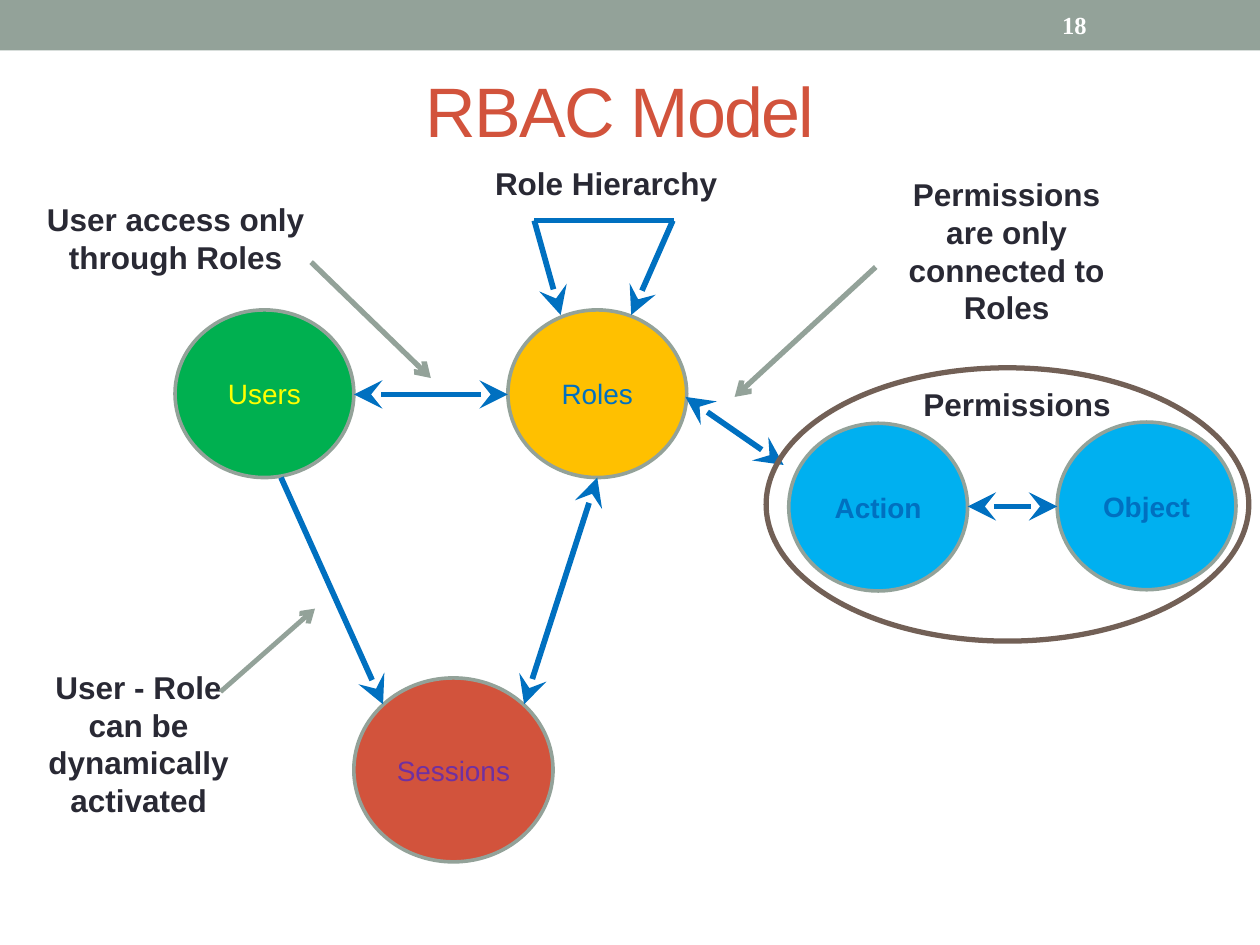
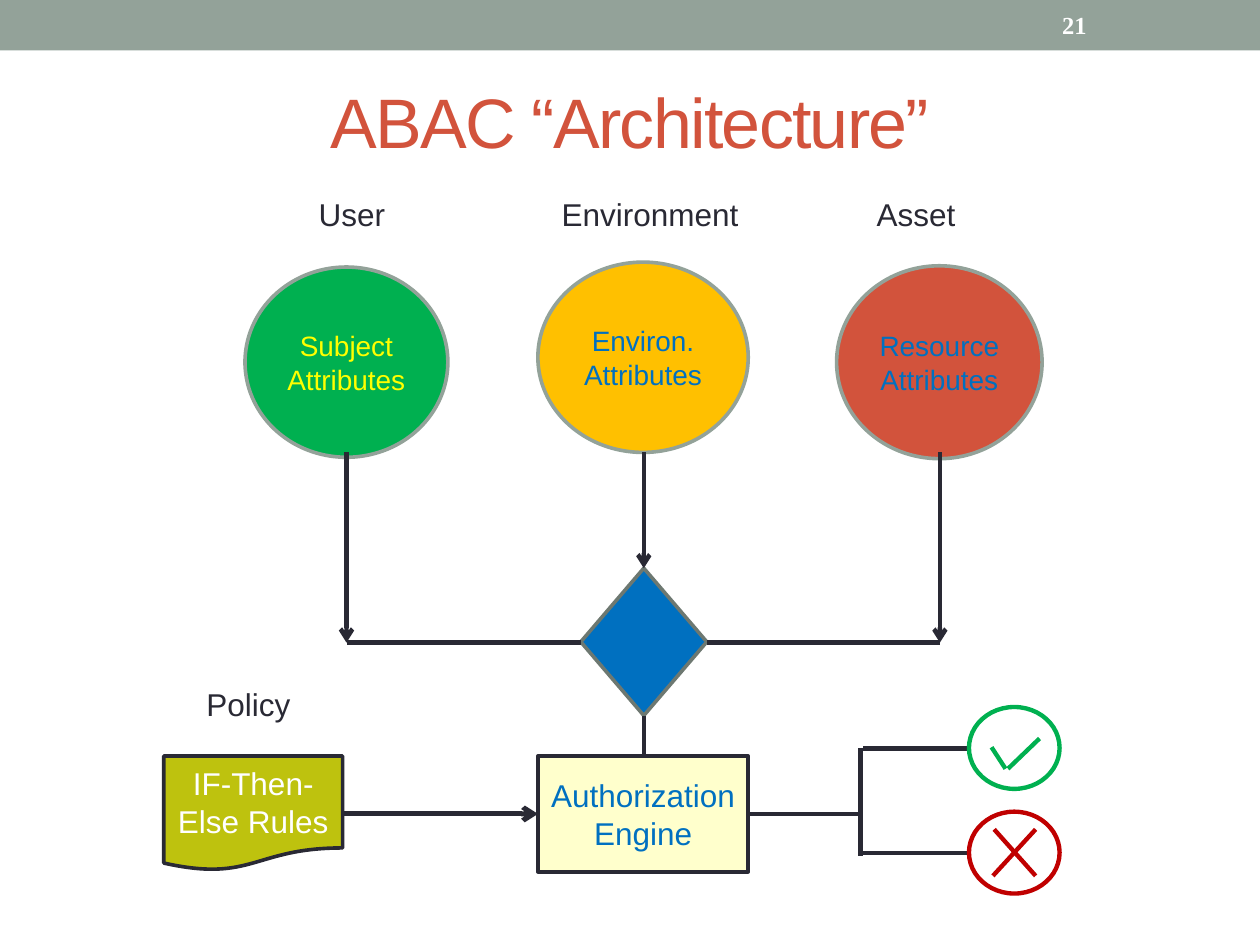
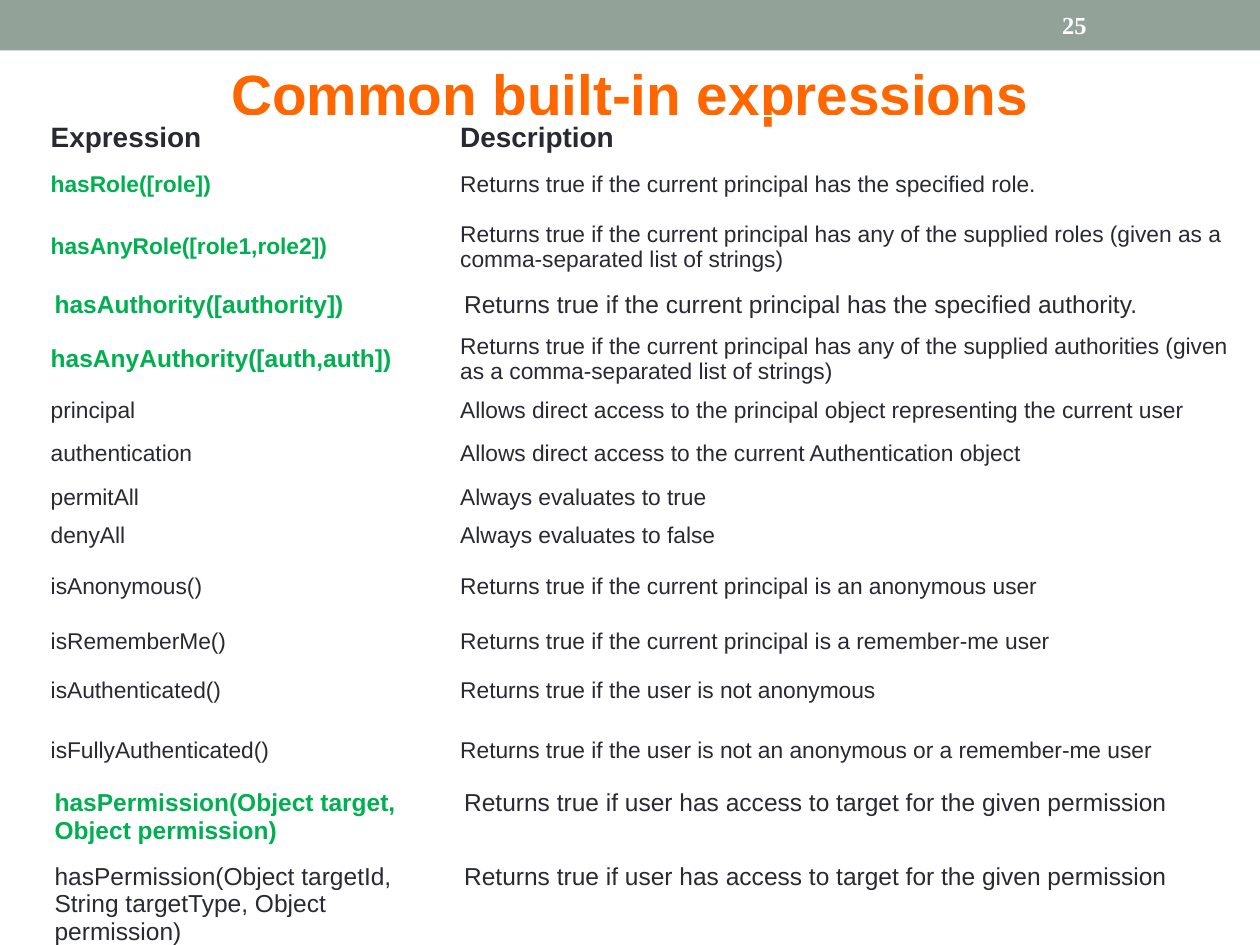
from dataclasses import dataclass

from lxml.etree import SubElement
from pptx import Presentation
from pptx.dml.color import RGBColor
from pptx.enum.shapes import MSO_CONNECTOR, MSO_SHAPE
from pptx.enum.text import MSO_ANCHOR, PP_ALIGN
from pptx.oxml.ns import qn
from pptx.util import Pt

INK, SAGE, RUST, BLUE = "292934", "93A299", "D2533C", "0070C0"
GREEN, AMBER, YELLOW, SKY = "00B050", "FFC000", "FFFF00", "00B0F0"
WHITE, ORANGE, BROWN, RED = "FFFFFF", "FF6600", "726056", "C00000"
OLIVE, CREAM, SLATE, PURPLE = "BEC20E", "FFFFCC", "6D7871", "7030A0"
CIRCLE = (102.2, 95.8)


def rgb(colour):
    """Turn a hex string into a colour."""
    return RGBColor.from_string(colour)


def style(paragraph, size, colour, bold=False, face="Arial"):
    """Set the font of a whole paragraph."""
    font = paragraph.font
    font.size, font.bold, font.name = Pt(size), bold, face
    font.color.rgb = rgb(colour)


@dataclass
class Region:
    """A part of a slide whose contents are placed from its top left corner."""

    slide: object
    left: float = 0
    top: float = 0

    def box(self, left, top, width, height):
        """Shift a box into the region."""
        return Pt(self.left + left), Pt(self.top + top), Pt(width), Pt(height)

    def label(self, text, box, size=18, colour=INK, bold=False, align=PP_ALIGN.LEFT,
              anchor=MSO_ANCHOR.TOP, face="Arial"):
        """Add free text."""
        frame = self.slide.shapes.add_textbox(*self.box(*box)).text_frame
        frame.word_wrap, frame.vertical_anchor = True, anchor
        paragraph = frame.paragraphs[0]
        paragraph.text, paragraph.alignment = text, align
        style(paragraph, size, colour, bold, face)
        return paragraph

    def node(self, box, fill=None, outline=SAGE, width=2.08, text="", colour=BLUE,
             size=16, bold=False, kind=MSO_SHAPE.OVAL):
        """Add a shape with optional fill, outline and centred text."""
        node = self.slide.shapes.add_shape(kind, *self.box(*box))
        node.shadow.inherit = False
        if fill:
            node.fill.solid()
            node.fill.fore_color.rgb = rgb(fill)
        else:
            node.fill.background()
        if outline:
            node.line.color.rgb = rgb(outline)
            node.line.width = Pt(width)
        else:
            node.line.fill.background()
        if text:
            frame = node.text_frame
            frame.word_wrap, frame.vertical_anchor = True, MSO_ANCHOR.MIDDLE
            frame.margin_left = frame.margin_right = Pt(3.6)
            paragraph = frame.paragraphs[0]
            paragraph.text, paragraph.alignment = text, PP_ALIGN.CENTER
            style(paragraph, size, colour, bold)

    def link(self, start, end, colour=INK, width=2.5, head=None, tail=None):
        """Add a straight line with optional arrowheads at start and end."""
        (x1, y1), (x2, y2) = start, end
        link = self.slide.shapes.add_connector(
            MSO_CONNECTOR.STRAIGHT, Pt(self.left + x1), Pt(self.top + y1),
            Pt(self.left + x2), Pt(self.top + y2))
        link.line.color.rgb, link.line.width = rgb(colour), Pt(width)
        outline = link.line._get_or_add_ln()
        for end_name, kind in (("a:headEnd", head), ("a:tailEnd", tail)):
            if kind:
                reach = "lg" if kind == "stealth" else "med"
                SubElement(outline, qn(end_name), type=kind, w=reach, len=reach)
        SubElement(link._element.spPr, qn("a:effectLst"))

    def flow(self, start, end, head="stealth", tail=None):
        """Add a thick blue relation of the role model."""
        self.link(start, end, BLUE, 3.25, head, tail)


def start_slide(deck, number):
    """Add a slide with the top band and its number."""
    slide = deck.slides.add_slide(deck.slide_layouts[6])
    page = Region(slide)
    page.node((0, 0, 720, 28.8), SAGE, None, kind=MSO_SHAPE.RECTANGLE)
    page.label(str(number), (599.8, 1.4, 84.2, 25.9), 14, WHITE, True,
               anchor=MSO_ANCHOR.MIDDLE, face="Times New Roman")
    return slide


def add_title(slide, text, left, top):
    """Add the large, tightly spaced title."""
    title = Region(slide, left, top).label(
        text, (0, 0, 648, 77.8), 40, RUST, align=PP_ALIGN.CENTER,
        anchor=MSO_ANCHOR.MIDDLE)
    title.runs[0]._r.get_or_add_rPr().set("spc", "-100")


def add_role_core(slide, left, top):
    """Draw users, roles, sessions and the relations between them."""
    core = Region(slide, left, top)
    core.node((102.2, 297.4, 113.8, 105.1), RUST, text="Sessions", colour=PURPLE)
    core.node((190.2, 87.1, *CIRCLE), AMBER, text="Roles")
    core.node((0, 87.1, *CIRCLE), GREEN, text="Users", colour=YELLOW)
    core.flow((190.2, 135.4), (102.3, 135.4), tail="stealth")
    core.flow((241.3, 182.9), (199.5, 312.5), tail="stealth")
    core.flow((118.9, 312.5), (60.6, 182.9))
    core.flow((220.4, 90), (205.3, 36))
    core.flow((260.7, 90), (284.5, 36))
    core.flow((285.2, 36), (205.3, 36), head=None)
    core.label("Role Hierarchy", (175.8, 0, 144, 28.8), bold=True)


def add_permissions(slide, left, top):
    """Draw the permissions group and its relation to the roles."""
    group = Region(slide, left, top)
    group.node((166.3, 31, *CIRCLE), SKY, text="Object", bold=True)
    group.node((12.9, 31.7, *CIRCLE), SKY, text="Action", bold=True)
    group.flow((166.3, 79.2), (115.2, 79.2), tail="stealth")
    group.flow((10, 55.5), (-46.1, 16.6), tail="stealth")
    group.node((0, 0, 275.8, 156.2), outline=BROWN, width=3)
    group.label("Permissions", (82.8, 6.5, 128.2, 28.8), bold=True)


def add_callout(slide, text, box, start, end, width=3):
    """Place a remark in its box, with an arrow given relative to that box."""
    left, top, *size = box
    remark = Region(slide, left, top)
    remark.label(text, (0, 0, *size), bold=True, align=PP_ALIGN.CENTER)
    remark.link(start, end, SAGE, width, tail="arrow")


def add_attribute_sources(slide, left, top):
    """Draw the three attribute sources that meet in the decision."""
    sources = Region(slide, left, top)
    for heading, x, width in (("User", 35, 100), ("Environment", 173.9, 130),
                              ("Asset", 353.9, 100)):
        sources.label(heading, (x, 0, width, 28.8))
    sources.node((167.4, 41.8, 120.2, 108.7), AMBER, text="Environ. Attributes")
    sources.node((0, 44.6, 115.9, 108.7), GREEN, text="Subject Attributes", colour=YELLOW)
    sources.node((338.1, 43.9, 117.4, 110.2), RUST, text="Resource Attributes")
    sources.node((191.9, 216.7, 72, 84.2), BLUE, SLATE, kind=MSO_SHAPE.FLOWCHART_DECISION)
    for x, bottom in ((227.9, 216.7), (397.1, 259.2), (58, 259.2)):
        sources.link((x, 150.5), (x, bottom), tail="arrow")
    sources.link((263.9, 259.2), (397.1, 259.2))
    sources.link((58, 259.2), (191.9, 259.2))


def add_engine(slide, left, top):
    """Draw the policy rules that feed the authorization engine."""
    engine = Region(slide, left, top)
    engine.label("Policy", (17.3, 0, 68.4, 29.5))
    engine.node((213.8, 44, 120.2, 66.2), CREAM, INK, text="Authorization Engine",
                size=18, kind=MSO_SHAPE.RECTANGLE)
    engine.node((0, 44, 102.2, 65.5), OLIVE, INK, text="IF-Then-Else Rules",
                colour=WHITE, size=18, kind=MSO_SHAPE.FLOWCHART_DOCUMENT)
    engine.link((274.3, 21), (274.3, 44))
    engine.link((102.2, 77.1), (213.8, 77.1), width=2.75, tail="arrow")


def add_outcomes(slide, left, top):
    """Draw the branch to the granted and denied outcomes."""
    fork = Region(slide, left, top)
    fork.link((0, 61.1), (64.1, 61.1))
    fork.link((64.1, 23.7), (64.1, 84.9), width=2.75)
    tick = (((12.9, 23), (20.9, 35.3)), ((22.3, 35.3), (40.3, 18)))
    cross = (((14.4, 10.1), (38.1, 36.7)), ((13.7, 36.7), (38.1, 10.1)))
    for y, colour, strokes in ((0, GREEN, tick), (59.8, RED, cross)):
        fork.link((65.5, y + 23.7), (126, y + 23.7))
        outcome = Region(slide, left + 126, top + y)
        outcome.node((0, 0, 51.8, 46.8), outline=colour, width=2.5)
        for start, end in strokes:
            outcome.link(start, end, colour)


@dataclass
class Expression:
    """One row of the expression table."""

    name: str
    meaning: str
    height: float
    size: float = 13
    name_size: float = 13
    key: bool = False
    roomy: bool = False


EXPRESSIONS = [
    Expression("hasRole([role])",
               "Returns true if the current principal has the specified role.", 28.1, key=True),
    Expression("hasAnyRole([role1,role2])",
               "Returns true if the current principal has any of the supplied roles "
               "(given as a comma-separated list of strings)", 43.2, key=True),
    Expression("hasAuthority([authority])",
               "Returns true if the current principal has the specified authority.",
               21.6, 14, 14, True, True),
    Expression("hasAnyAuthority([auth,auth])",
               "Returns true if the current principal has any of the supplied authorities "
               "(given as a comma-separated list of strings)", 21.6, 13, 14, True),
    Expression("principal", "Allows direct access to the principal object "
               "representing the current user", 21.6),
    Expression("authentication",
               "Allows direct access to the current Authentication object", 28.1),
    Expression("permitAll", "Always evaluates to true", 21.6),
    Expression("denyAll", "Always evaluates to false", 21.6),
    Expression("isAnonymous()",
               "Returns true if the current principal is an anonymous user", 37.4),
    Expression("isRememberMe()",
               "Returns true if the current principal is a remember-me user", 25.2),
    Expression("isAuthenticated()", "Returns true if the user is not anonymous", 31),
    Expression("isFullyAuthenticated()",
               "Returns true if the user is not an anonymous or a remember-me user", 37.4),
    Expression("hasPermission(Object target, Object permission)",
               "Returns true if user has access to target for the given permission",
               41.8, 14, 14, True, True),
    Expression("hasPermission(Object targetId, String targetType, Object permission)",
               "Returns true if user has access to target for the given permission",
               59, 14, 14, False, True),
]


def fill_cell(cell, text, size, colour, bold, roomy):
    """Write one cell, either roomy at the top or tight in the middle."""
    cell.fill.background()
    across, down = (7.2, 3.6) if roomy else (5, 2.9)
    cell.margin_left = cell.margin_right = Pt(across)
    cell.margin_top = cell.margin_bottom = Pt(down)
    cell.vertical_anchor = MSO_ANCHOR.TOP if roomy else MSO_ANCHOR.MIDDLE
    paragraph = cell.text_frame.paragraphs[0]
    paragraph.text = text
    style(paragraph, size, colour, bold)


def add_expression_table(slide, left, top, widths):
    """Draw the table of expressions under its heading row."""
    heights = [25.2] + [entry.height for entry in EXPRESSIONS]
    table = slide.shapes.add_table(len(heights), len(widths), Pt(left), Pt(top),
                                   Pt(sum(widths)), Pt(sum(heights))).table
    table.first_row = table.horz_banding = False
    for column, width in zip(table.columns, widths):
        column.width = Pt(width)
    for row, height in zip(table.rows, heights):
        row.height = Pt(height)
    for column, heading in enumerate(("Expression", "Description")):
        fill_cell(table.cell(0, column), heading, 16, INK, True, False)
    for row, entry in enumerate(EXPRESSIONS, 1):
        fill_cell(table.cell(row, 0), entry.name, entry.name_size,
                  GREEN if entry.key else INK, entry.key, entry.roomy)
        fill_cell(table.cell(row, 1), entry.meaning, entry.size, INK, False, entry.roomy)


def build_role_model(deck):
    """Build the slide on the role model."""
    slide = start_slide(deck, 18)
    add_title(slide, "RBAC Model", 30.2, 23.8)
    add_role_core(slide, 100, 90)
    add_permissions(slide, 437.8, 210.2)
    add_callout(slide, "User access only through Roles", (19.4, 110.9, 162, 51.1),
                (158.4, 38.9), (226.8, 105.1))
    add_callout(slide, "Permissions are only connected to Roles",
                (501.8, 96.5, 146.9, 94.3), (-1.4, 56.1), (-82, 130.3))
    add_callout(slide, "User - Role can be dynamically activated",
                (7.2, 378, 144, 94.3), (118.8, 17.3), (172.8, -30.2), 2.75)


def build_architecture(deck):
    """Build the slide on the attribute architecture."""
    slide = start_slide(deck, 21)
    add_title(slide, "ABAC “Architecture”", 36, 30.2)
    add_attribute_sources(slide, 140, 108)
    add_engine(slide, 93.6, 388)
    add_outcomes(slide, 427.7, 404)


def build_expressions(deck):
    """Build the slide with the expression table."""
    slide = start_slide(deck, 25)
    Region(slide, 36, 30.2).label("Common built-in expressions", (0, 0, 648, 77.8),
                                  32.4, ORANGE, True, PP_ALIGN.CENTER)
    add_expression_table(slide, 24, 66.2, (234, 462.2))


deck = Presentation()
deck.slide_width, deck.slide_height = Pt(720), Pt(540)
build_role_model(deck)
build_architecture(deck)
build_expressions(deck)
deck.save("out.pptx")
